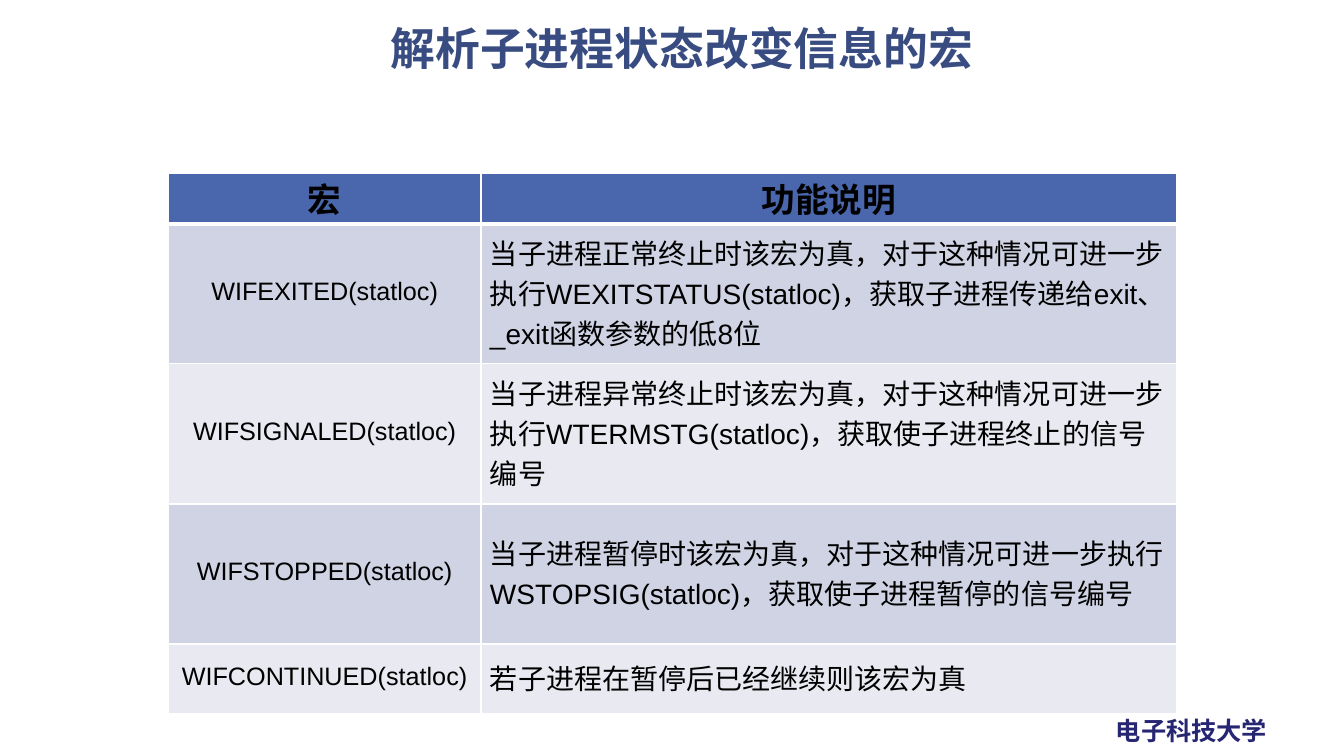
from dataclasses import dataclass

from lxml import etree
from pptx import Presentation
from pptx import util as u
from pptx.dml.color import RGBColor
from pptx.enum import text as t
from pptx.oxml import ns

COLORS = {
    "title": "384C81",
    "school": "262673",
    "text": "000000",
    "header": "4A66AC",
    "odd_row": "D0D3E3",
    "even_row": "E9EAF1",
    "border": "FFFFFF",
}
LATIN = "Arial"
CJK = "Noto Sans CJK SC"
COLUMN_WIDTHS = (3.1, 6.9)
HEADINGS = ("宏", "功能说明")


@dataclass
class Macro:
    name: str
    purpose: str
    height: float = 1.39


MACROS = (
    Macro("WIFEXITED(statloc)",
          "当子进程正常终止时该宏为真，对于这种情况可进一步执行WEXITSTATUS(statloc)，"
          "获取子进程传递给exit、_exit函数参数的低8位"),
    Macro("WIFSIGNALED(statloc)",
          "当子进程异常终止时该宏为真，对于这种情况可进一步执行WTERMSTG(statloc)，"
          "获取使子进程终止的信号编号"),
    Macro("WIFSTOPPED(statloc)",
          "当子进程暂停时该宏为真，对于这种情况可进一步执行WSTOPSIG(statloc)，"
          "获取使子进程暂停的信号编号"),
    Macro("WIFCONTINUED(statloc)", "若子进程在暂停后已经继续则该宏为真", 0.69),
)


def write(frame, content: str, *, size: float, color: str, bold: bool = False,
          latin: str = CJK, align=t.PP_ALIGN.LEFT, spacing: float = 1.0) -> None:
    paragraph = frame.paragraphs[0]
    paragraph.alignment = align
    paragraph.line_spacing = spacing
    run = paragraph.add_run()
    run.text = content
    run.font.size = u.Pt(size)
    run.font.bold = bold
    run.font.color.rgb = RGBColor.from_string(COLORS[color])
    run.font.name = latin
    east_asian = etree.SubElement(run.font._element, ns.qn("a:ea"))
    east_asian.set("typeface", CJK)


def set_borders(cell, top: float, bottom: float) -> None:
    """Draw the cell's four borders, with widths in points."""
    properties = cell._tc.get_or_add_tcPr()
    sides = (("a:lnL", 1), ("a:lnR", 1), ("a:lnT", top), ("a:lnB", bottom))
    for position, (tag, width) in enumerate(sides):
        line = etree.Element(ns.qn(tag), w=str(u.Pt(width)))
        fill = etree.SubElement(line, ns.qn("a:solidFill"))
        etree.SubElement(fill, ns.qn("a:srgbClr"), val=COLORS["border"])
        properties.insert(position, line)


def fill_cell(cell, content: str, *, fill: str, size: float, bold: bool = False,
              align=t.PP_ALIGN.CENTER, top: float = 1, bottom: float = 1) -> None:
    cell.vertical_anchor = t.MSO_ANCHOR.MIDDLE
    cell.margin_left = cell.margin_right = u.Inches(0.09)
    cell.margin_top, cell.margin_bottom = u.Inches(0.01), u.Inches(0.04)
    cell.fill.solid()
    cell.fill.fore_color.rgb = RGBColor.from_string(COLORS[fill])
    set_borders(cell, top, bottom)
    write(cell.text_frame, content, size=size, color="text", bold=bold,
          latin=LATIN, align=align, spacing=0.98)


def add_macro_table(slide) -> None:
    heights = (0.5, *(macro.height for macro in MACROS))
    table = slide.shapes.add_table(
        len(heights), len(COLUMN_WIDTHS), u.Inches(1.67), u.Inches(1.72),
        u.Inches(sum(COLUMN_WIDTHS)), u.Inches(sum(heights))).table
    for column, width in zip(table.columns, COLUMN_WIDTHS):
        column.width = u.Inches(width)
    for row, height in zip(table.rows, heights):
        row.height = u.Inches(height)

    for column, heading in enumerate(HEADINGS):
        fill_cell(table.cell(0, column), heading, fill="header", size=24,
                  bold=True, bottom=3)
    for row, macro in enumerate(MACROS, start=1):
        fill = "odd_row" if row % 2 else "even_row"
        top = 3 if row == 1 else 1
        fill_cell(table.cell(row, 0), macro.name, fill=fill, size=18, top=top)
        fill_cell(table.cell(row, 1), macro.purpose, fill=fill, size=20,
                  align=t.PP_ALIGN.LEFT, top=top)


def add_title(slide) -> None:
    title = slide.shapes.title
    title.left, title.top = u.Inches(1.42), u.Inches(0.21)
    title.width, title.height = u.Inches(10.69), u.Inches(0.6)
    title.text_frame.auto_size = t.MSO_AUTO_SIZE.NONE
    title.text_frame.vertical_anchor = t.MSO_ANCHOR.MIDDLE
    write(title.text_frame, "解析子进程状态改变信息的宏", size=32, color="title",
          bold=True, align=t.PP_ALIGN.CENTER, spacing=0.9)


def add_school(slide) -> None:
    school = slide.shapes.add_textbox(
        u.Inches(10.97), u.Inches(7.05), u.Inches(1.73), u.Inches(0.4))
    school.text_frame.word_wrap = False
    school.text_frame.auto_size = t.MSO_AUTO_SIZE.SHAPE_TO_FIT_TEXT
    write(school.text_frame, "电子科技大学", size=18, color="school", bold=True)


def main() -> None:
    presentation = Presentation()
    presentation.slide_width = u.Inches(13.33)
    presentation.slide_height = u.Inches(7.5)
    slide = presentation.slides.add_slide(presentation.slide_layouts[5])
    add_school(slide)
    add_title(slide)
    add_macro_table(slide)
    presentation.save("out.pptx")


if __name__ == "__main__":
    main()
